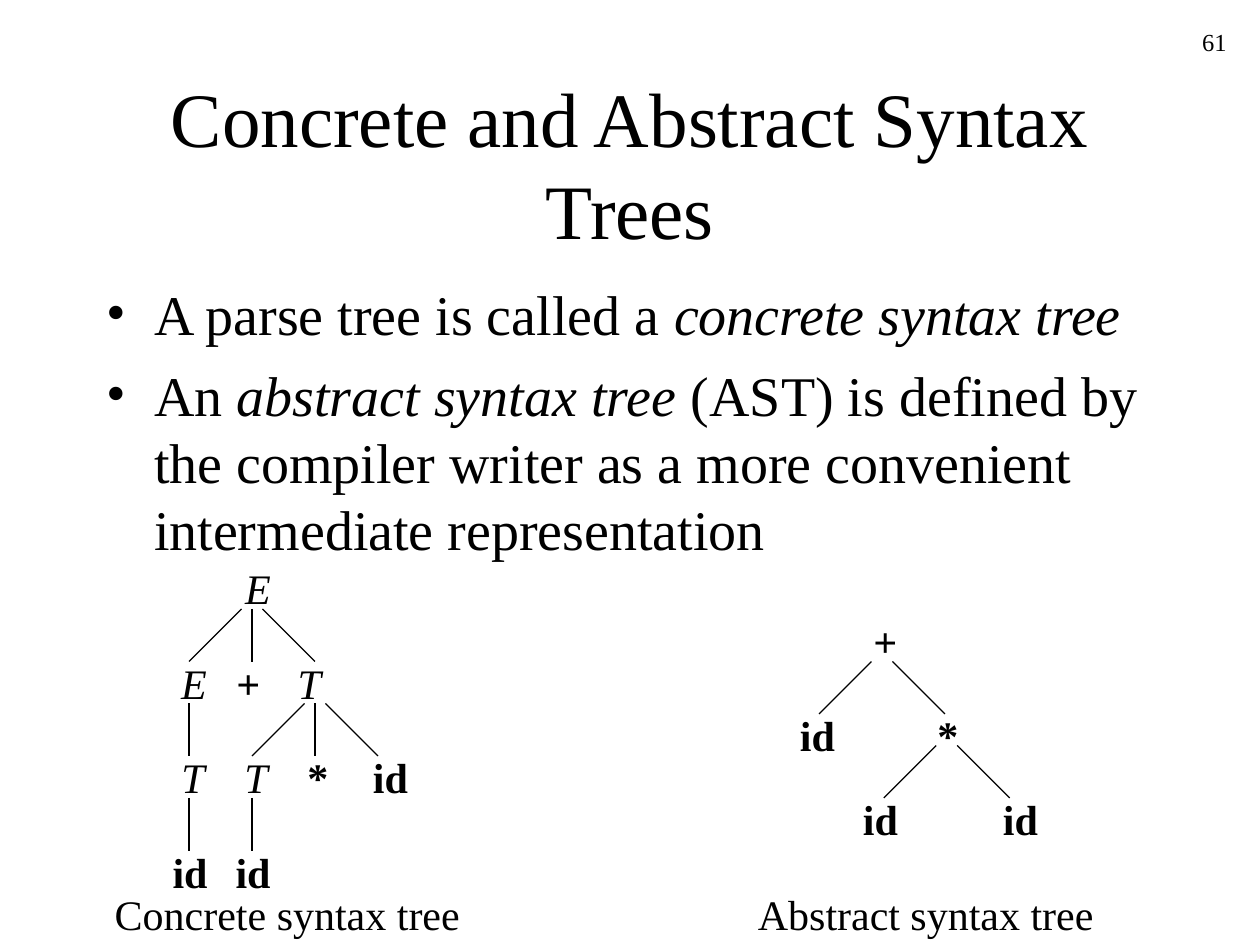
from lxml import etree
from pptx import Presentation
from pptx.dml.color import RGBColor
from pptx.enum.shapes import MSO_CONNECTOR
from pptx.enum.text import MSO_ANCHOR, MSO_AUTO_SIZE, PP_ALIGN
from pptx.oxml.ns import qn
from pptx.util import Pt

BLACK = RGBColor(0, 0, 0)
WHITE = RGBColor(255, 255, 255)
FONT = "Times New Roman"
LEFT, MID, RIGHT = PP_ALIGN.LEFT, PP_ALIGN.CENTER, PP_ALIGN.RIGHT
TOP, MIDDLE = MSO_ANCHOR.TOP, MSO_ANCHOR.MIDDLE
GROW = MSO_AUTO_SIZE.SHAPE_TO_FIT_TEXT
LINE = MSO_CONNECTOR.STRAIGHT

# Box width of each tree symbol; nonterminals are italic, tokens bold
WIDE = {"E": 28.8, "T": 27.4, "+": 28, "*": 26, "id": 34.6}
VARS = "ET"

# Symbol, left, top
NODES = [
    ("E", 133, 318),
    ("E", 96.5, 372), ("+", 128, 372), ("T", 163, 372),
    ("T", 96.5, 426), ("T", 132.5, 426), ("*", 168.5, 426), ("id", 206, 426),
    ("id", 91.5, 480), ("id", 127.5, 480),
    ("+", 492, 348),
    ("id", 450, 402), ("*", 528.5, 402),
    ("id", 486, 450), ("id", 566, 450),
]

# Parent x, y, and the sides its branches go to
FORKS = [
    (144, 348, (-1, 0, 1)),
    (108, 402, (0,)), (180, 402, (-1, 0, 1)),
    (108, 456, (0,)), (144, 456, (0,)),
    (504, 378, (-1, 1)), (541, 426, (-1, 1)),
]

POINTS = [
    [("A parse tree is called a ", False), ("concrete syntax tree", True)],
    [("An ", False), ("abstract syntax tree", True),
     (" (AST) is defined by the compiler writer as a more convenient "
      "intermediate representation", False)],
]


def style(run, size, bold=False, italic=False):
    font = run.font
    font.name, font.size = FONT, Pt(size)
    font.bold, font.italic = bold, italic
    font.color.rgb = BLACK


def add_box(slide, left, top, width, height, anchor=TOP, wrap=True):
    box = slide.shapes.add_textbox(Pt(left), Pt(top), Pt(width), Pt(height))
    frame = box.text_frame
    frame.word_wrap = wrap
    frame.vertical_anchor = anchor
    return frame


def add_text(frame, text, size, align=LEFT, bold=False, italic=False):
    frame.text = text
    para = frame.paragraphs[0]
    para.alignment = align
    style(para.runs[0], size, bold, italic)


def add_label(slide, text, left, top, width, bold=False, italic=False):
    frame = add_box(slide, left, top, width, 36, wrap=False)
    frame.auto_size = GROW
    add_text(frame, text, 24, bold=bold, italic=italic)


def add_bullet(para):
    props = para._p.get_or_add_pPr()
    props.set("marL", str(Pt(27)))
    props.set("indent", str(-Pt(27)))
    etree.SubElement(props, qn("a:buFont")).set("typeface", FONT)
    etree.SubElement(props, qn("a:buChar")).set("char", "•")


def add_points(frame):
    for i, parts in enumerate(POINTS):
        para = frame.add_paragraph() if i else frame.paragraphs[0]
        add_bullet(para)
        if i:
            para.space_before = Pt(8)
        for text, italic in parts:
            run = para.add_run()
            run.text = text
            style(run, 32, italic=italic)


def add_branch(slide, x, y, side):
    line = slide.shapes.add_connector(
        LINE, Pt(x + 6 * side), Pt(y), Pt(x + 36 * side), Pt(y + 30))
    line.line.color.rgb = BLACK
    line.line.width = Pt(0.75)
    etree.SubElement(line._element.spPr, qn("a:effectLst"))


def main():
    deck = Presentation()
    deck.slide_width, deck.slide_height = Pt(720), Pt(540)
    slide = deck.slides.add_slide(deck.slide_layouts[6])
    slide.background.fill.solid()
    slide.background.fill.fore_color.rgb = WHITE

    # Page number, title and bullets
    add_text(add_box(slide, 558, 12, 150, 36), "61", 14, RIGHT)
    add_text(add_box(slide, 54, 48, 612, 90, MIDDLE),
             "Concrete and Abstract Syntax Trees", 44, MID)
    add_points(add_box(slide, 54, 156, 612, 324))

    # Both trees
    for x, y, sides in FORKS:
        for side in sides:
            add_branch(slide, x, y, side)
    for name, left, top in NODES:
        italic = name in VARS
        add_label(slide, name, left, top, WIDE[name], not italic, italic)

    # Captions, a little wider than their text
    add_label(slide, "Concrete syntax tree", 58.5, 504, 213)
    add_label(slide, "Abstract syntax tree", 426, 504, 208)

    deck.save("out.pptx")


if __name__ == "__main__":
    main()
